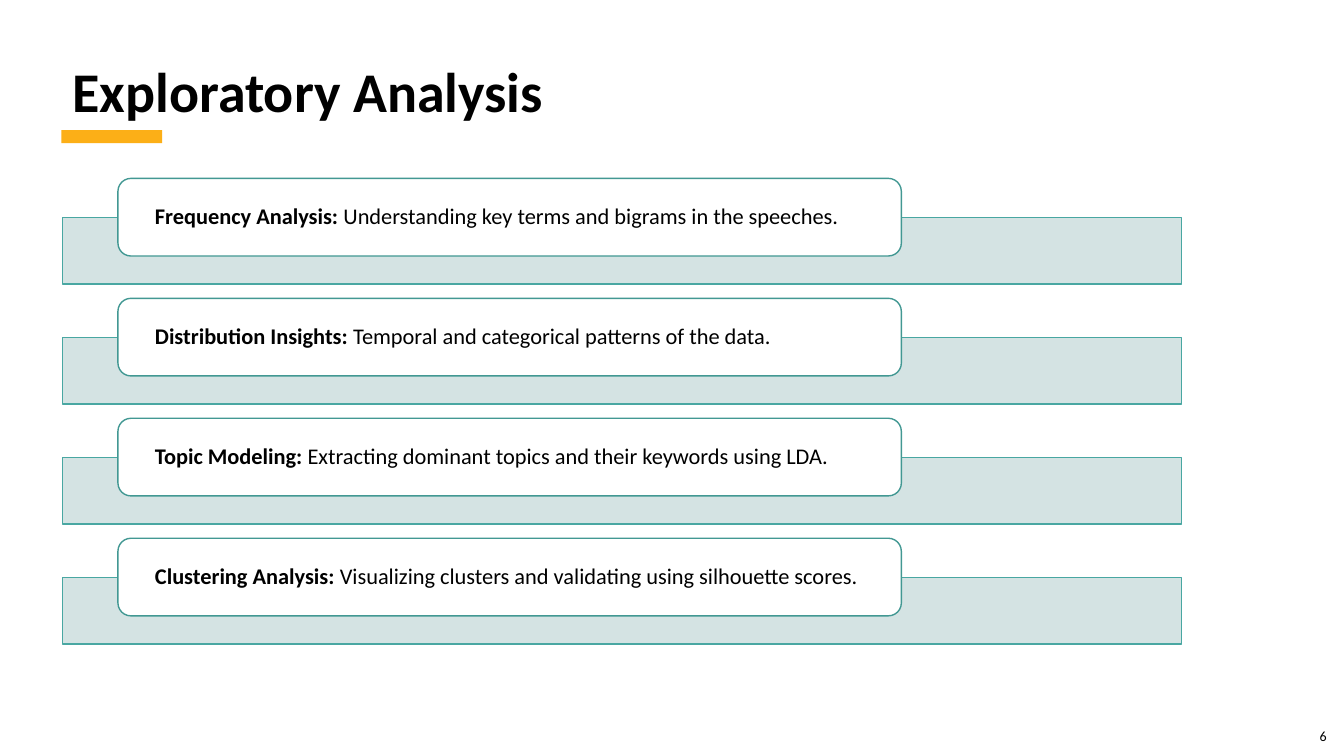
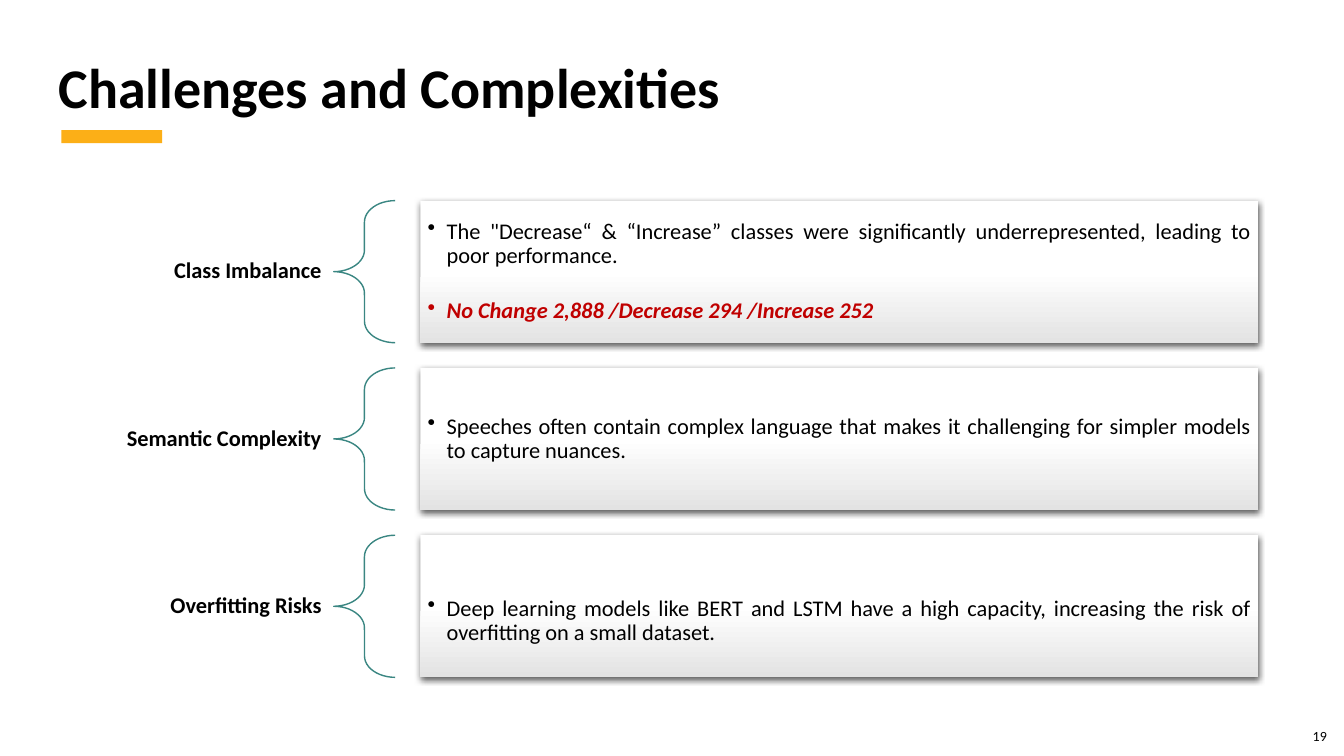
"""Build two slides: the exploratory analysis steps and the modelling challenges."""
from lxml import etree
from pptx import Presentation
from pptx import util as u
from pptx.dml.color import RGBColor
from pptx.enum import shapes, text
from pptx.oxml import ns

FONT = "Calibri"
COLORS = {
    "ink": "000000", "white": "FFFFFF", "accent": "FCAF17", "alert": "C00000",
    "bar": "D0E1E0", "bar_line": "49A7A2", "card_line": "429893",
    "brace": "3A8682", "panel_end": "E3E3E3",
}
ANALYSES = {
    "title": "Exploratory Analysis", "number": "6",
    "title_box": (0.62, 0.58, 11.49, 0.72), "title_insets": (0.1, 0.05, 0.1, 0.05),
    "rows": [
        ("Frequency Analysis:", " Understanding key terms and bigrams in the speeches."),
        ("Distribution Insights:", " Temporal and categorical patterns of the data."),
        ("Topic Modeling:", " Extracting dominant topics and their keywords using LDA."),
        ("Clustering Analysis:", " Visualizing clusters and validating using silhouette scores."),
    ],
}
CHALLENGES = {
    "title": "Challenges and Complexities", "number": "19",
    "title_box": (0.58, 0.52, 12.12, 0.76), "title_insets": (0, 0, 0, 0),
    "rows": [
        ("Class Imbalance", 0.07, [
            ('The "Decrease“ & “Increase” classes were significantly underrepresented, '
             "leading to poor performance.", False),
            ("No Change 2,888 /Decrease 294 /Increase 252", True)]),
        ("Semantic Complexity", 0.07, [
            ("Speeches often contain complex language that makes it challenging for "
             "simpler models to capture nuances.", False)]),
        ("Overfitting Risks", 0.36, [
            ("Deep learning models like BERT and LSTM have a high capacity, increasing "
             "the risk of overfitting on a small dataset.", False)]),
    ],
}
CARD_TOP, CARD_STEP = 1.77, 1.19
PANEL_TOP, PANEL_STEP, PANEL_HEIGHT = 1.99, 1.66, 1.41


def color(name):
    return RGBColor.from_string(COLORS[name])


def lengths(box):
    return [u.Inches(value) for value in box]


def add_shape(slide, kind, box, fill=None, line=None):
    shape = slide.shapes.add_shape(kind, *lengths(box))
    shape.shadow.inherit = False
    if fill:
        shape.fill.solid()
        shape.fill.fore_color.rgb = color(fill)
    else:
        shape.fill.background()
    if line:
        shape.line.color.rgb = color(line)
        shape.line.width = u.Pt(1)
    else:
        shape.line.fill.background()
    return shape


def set_frame(shape, insets, anchor=text.MSO_ANCHOR.MIDDLE):
    frame = shape.text_frame
    frame.word_wrap = True
    frame.auto_size = text.MSO_AUTO_SIZE.NONE
    frame.vertical_anchor = anchor
    (frame.margin_left, frame.margin_top,
     frame.margin_right, frame.margin_bottom) = lengths(insets)
    return frame


def style(paragraph, size=16, bold=False, align=text.PP_ALIGN.LEFT, ink="ink", after=0):
    paragraph.alignment = align
    paragraph.line_spacing = 0.9
    paragraph.space_before = u.Pt(0)
    paragraph.space_after = u.Pt(after)
    font = paragraph.font
    font.name, font.size, font.bold = FONT, u.Pt(size), bold
    font.color.rgb = color(ink)


def add_bullet(paragraph):
    properties = paragraph._p.get_or_add_pPr()
    properties.set("marL", str(u.Inches(0.19)))
    properties.set("indent", str(u.Inches(-0.19)))
    etree.SubElement(properties, ns.qn("a:buChar"), char="•")


def add_alpha(fill_element, percent):
    etree.SubElement(fill_element, ns.qn("a:alpha"), val=str(percent * 1000))


def add_drop_shadow(shape):
    effects = shape._element.spPr.find(ns.qn("a:effectLst"))
    shadow = etree.SubElement(
        effects, ns.qn("a:outerShdw"), blurRad=str(u.Pt(4.5)), dist=str(u.Pt(1.5)),
        dir="5400000", algn="ctr", rotWithShape="0")
    add_alpha(etree.SubElement(shadow, ns.qn("a:srgbClr"), val=COLORS["ink"]), 63)


def add_titled_slide(presentation, content):
    slide = presentation.slides.add_slide(presentation.slide_layouts[5])
    title = slide.shapes.title
    title.left, title.top, title.width, title.height = lengths(content["title_box"])
    frame = set_frame(title, content["title_insets"])
    frame.text = content["title"]
    style(frame.paragraphs[0], size=40, bold=True)
    add_shape(slide, shapes.MSO_SHAPE.RECTANGLE, (0.61, 1.29, 1, 0.13), "accent")
    number = slide.shapes.add_textbox(*lengths((10, 7.22, 3.16, 0.2)))
    frame = set_frame(number, (0, 0, 0, 0), text.MSO_ANCHOR.TOP)
    frame.text = content["number"]
    style(frame.paragraphs[0], size=10, align=text.PP_ALIGN.RIGHT)
    frame.paragraphs[0].line_spacing = 1.0
    return slide


def add_analysis(slide, top, lead, detail):
    bar = add_shape(slide, shapes.MSO_SHAPE.RECTANGLE,
                    (0.62, top + 0.39, 11.1, 0.66), "bar", "bar_line")
    add_alpha(bar._element.spPr.find(".//" + ns.qn("a:srgbClr")), 90)
    card = add_shape(slide, shapes.MSO_SHAPE.ROUNDED_RECTANGLE,
                     (1.17, top, 7.77, 0.77), "white", "card_line")
    paragraph = set_frame(card, (0.33, 0.04, 0.33, 0.04)).paragraphs[0]
    style(paragraph, after=5.6)
    for words, bold in ((lead, True), (detail, False)):
        run = paragraph.add_run()
        run.text, run.font.bold = words, bold


def add_challenge(slide, top, label, top_inset, points):
    label_box = slide.shapes.add_textbox(*lengths((0.26, top, 3.05, PANEL_HEIGHT)))
    frame = set_frame(label_box, (0.12, 0.04, 0.12, 0.04))
    frame.text = label
    style(frame.paragraphs[0], bold=True, align=text.PP_ALIGN.RIGHT, after=5.6)

    brace = add_shape(slide, shapes.MSO_SHAPE.LEFT_BRACE,
                      (3.31, top, 0.61, PANEL_HEIGHT), line="brace")
    brace.adjustments[0] = 0.35

    panel = add_shape(slide, shapes.MSO_SHAPE.RECTANGLE, (4.17, top, 8.31, PANEL_HEIGHT))
    panel.fill.gradient()
    panel.fill.gradient_angle = 270
    for stop, position, name in zip(panel.fill.gradient_stops, (0.5, 1), ("white", "panel_end")):
        stop.position, stop.color.rgb = position, color(name)
    add_drop_shadow(panel)

    frame = set_frame(panel, (0.07, top_inset, 0.07, 0.07))
    for index, (words, alert) in enumerate(points):
        paragraph = frame.add_paragraph() if index else frame.paragraphs[0]
        paragraph.text = words
        add_bullet(paragraph)
        style(paragraph, bold=alert, align=text.PP_ALIGN.JUSTIFY,
              ink="alert" if alert else "ink", after=2.4)
        paragraph.font.italic = alert
        if index:
            paragraph.space_before = u.Pt(20)


def main():
    presentation = Presentation()
    presentation.slide_width, presentation.slide_height = lengths((13.33, 7.5))
    slide = add_titled_slide(presentation, ANALYSES)
    for index, row in enumerate(ANALYSES["rows"]):
        add_analysis(slide, CARD_TOP + index * CARD_STEP, *row)
    slide = add_titled_slide(presentation, CHALLENGES)
    for index, row in enumerate(CHALLENGES["rows"]):
        add_challenge(slide, PANEL_TOP + index * PANEL_STEP, *row)
    presentation.save("out.pptx")


if __name__ == "__main__":
    main()
